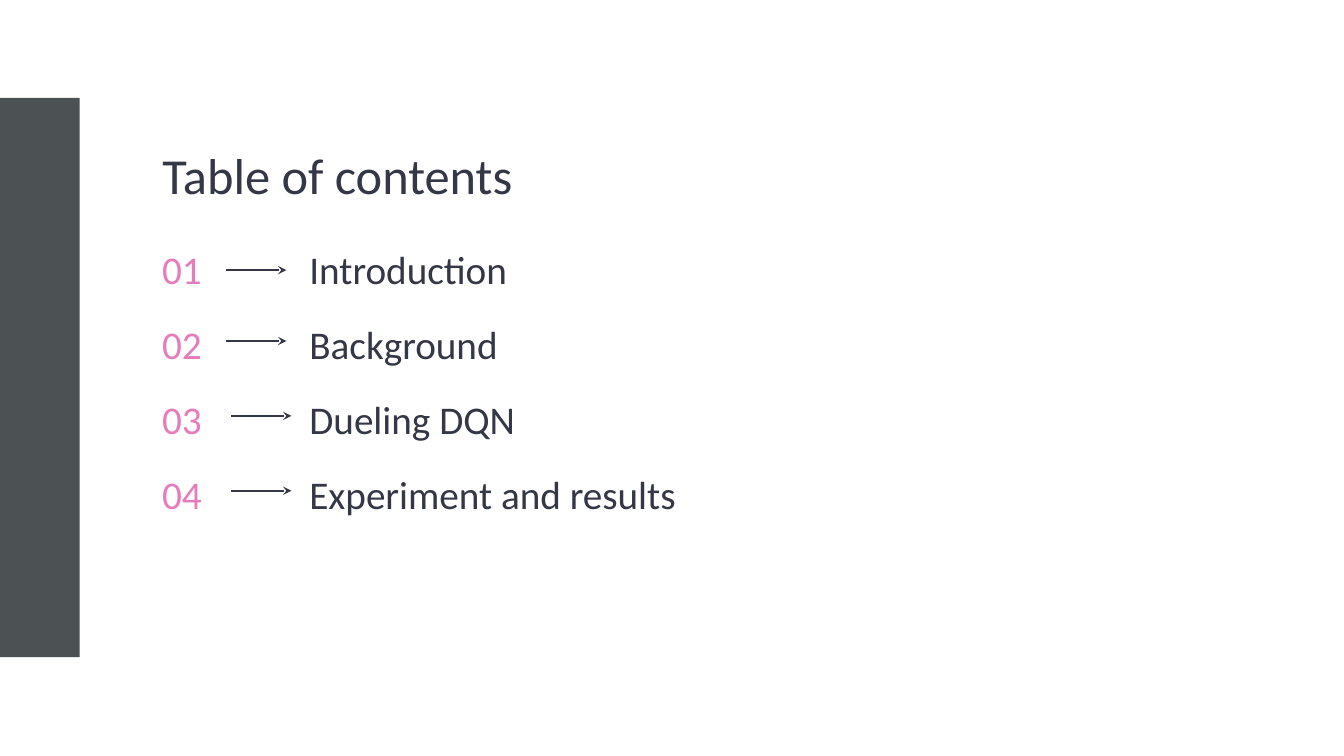
from lxml import etree
from pptx import Presentation
from pptx.dml.color import RGBColor
from pptx.enum.shapes import MSO_CONNECTOR, MSO_SHAPE
from pptx.enum.text import MSO_ANCHOR, MSO_AUTO_SIZE, PP_ALIGN
from pptx.oxml.ns import qn
from pptx.util import Inches, Pt

RECTANGLE = MSO_SHAPE.RECTANGLE
STRAIGHT = MSO_CONNECTOR.STRAIGHT
TOP, MIDDLE = MSO_ANCHOR.TOP, MSO_ANCHOR.MIDDLE
LEFT = PP_ALIGN.LEFT
NO_AUTOFIT = MSO_AUTO_SIZE.NONE

COLORS = {"bar": "4C5254", "ink": "333746", "number": "E67CB9"}
FONT = "Calibri"


def rgb(name):
    return RGBColor.from_string(COLORS[name])


def write(shape, text, size=28, color="ink", anchor=MIDDLE):
    frame = shape.text_frame
    frame.word_wrap = True
    frame.auto_size = NO_AUTOFIT
    frame.vertical_anchor = anchor
    frame.margin_left = frame.margin_right = Inches(0.1)
    frame.margin_top = frame.margin_bottom = Inches(0.1)
    paragraph = frame.paragraphs[0]
    paragraph.alignment = LEFT
    paragraph.line_spacing = 1.15
    run = paragraph.add_run()
    run.text = text
    run.font.name = FONT
    run.font.size = Pt(size)
    run.font.color.rgb = rgb(color)


prs = Presentation()
prs.slide_width = Inches(13.33)
prs.slide_height = Inches(7.5)
slide = prs.slides.add_slide(prs.slide_layouts[5])
shapes = slide.shapes

side_bar = shapes.add_shape(RECTANGLE, 0, Inches(0.97), Inches(0.79), Inches(5.55))
side_bar.shadow.inherit = False
side_bar.fill.solid()
side_bar.fill.fore_color.rgb = rgb("bar")
side_bar.line.fill.background()

heading = shapes.title
heading.left, heading.top = Inches(1.51), Inches(1.24)
heading.width, heading.height = Inches(8.44), Inches(0.77)
write(heading, "Table of contents", size=36, anchor=TOP)

FIRST_TOP, ROW_STEP, ROW_HEIGHT = 2.35, 0.743, 0.57
ARROW_LENGTH = 0.6
chapters = [
    ("Introduction", 2.24, 0.33),
    ("Background", 2.24, 0.29),
    ("Dueling DQN", 2.29, 0.29),
    ("Experiment and results", 2.29, 0.29),
]

for index, (chapter, arrow_left, arrow_drop) in enumerate(chapters):
    top = FIRST_TOP + index * ROW_STEP
    number = shapes.add_textbox(
        Inches(1.51), Inches(top), Inches(1.46), Inches(ROW_HEIGHT))
    write(number, f"{index + 1:02d}", color="number")
    label = shapes.add_textbox(
        Inches(2.97), Inches(top), Inches(6.98), Inches(ROW_HEIGHT))
    write(label, chapter)

    arrow_y = Inches(top + arrow_drop)
    arrow = shapes.add_connector(
        STRAIGHT, Inches(arrow_left), arrow_y,
        Inches(arrow_left + ARROW_LENGTH), arrow_y)
    arrow.line.color.rgb = rgb("ink")
    arrow.line.width = Pt(1.5)
    outline = arrow.line._get_or_add_ln()
    etree.SubElement(outline, qn("a:tailEnd"), type="stealth")
    etree.SubElement(outline.getparent(), qn("a:effectLst"))

prs.save("out.pptx")
